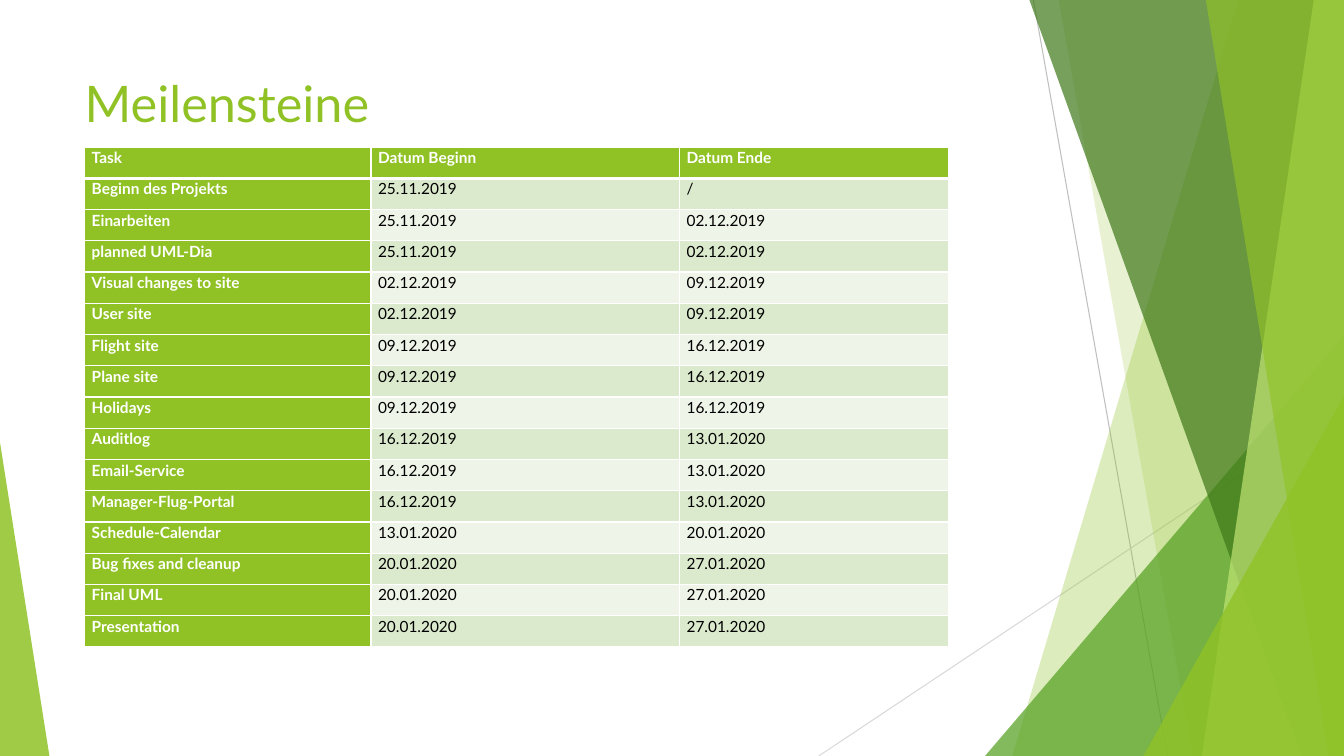
import pptx
import pptx.dml.color
import pptx.enum.shapes
import pptx.enum.text
import pptx.oxml
import pptx.oxml.ns
import pptx.util
from pptx.util import Inches

FONT = "Lato"
COLORS = {
    "lime": "90C226", "green": "54A021", "forest": "3F7819", "pale": "C0E474",
    "white": "FFFFFF", "black": "000000", "odd": "DBE9CD", "even": "EEF4E8",
    "grey": "BFBFBF", "light_grey": "D9D9D9",
}
HEADER = ("Task", "Datum Beginn", "Datum Ende")
MILESTONES = [
    ("Beginn des Projekts", "25.11.2019", "/"),
    ("Einarbeiten", "25.11.2019", "02.12.2019"),
    ("planned UML-Dia", "25.11.2019", "02.12.2019"),
    ("Visual changes to site", "02.12.2019", "09.12.2019"),
    ("User site", "02.12.2019", "09.12.2019"),
    ("Flight site", "09.12.2019", "16.12.2019"),
    ("Plane site", "09.12.2019", "16.12.2019"),
    ("Holidays", "09.12.2019", "16.12.2019"),
    ("Auditlog", "16.12.2019", "13.01.2020"),
    ("Email-Service", "16.12.2019", "13.01.2020"),
    ("Manager-Flug-Portal", "16.12.2019", "13.01.2020"),
    ("Schedule-Calendar", "13.01.2020", "20.01.2020"),
    ("Bug fixes and cleanup", "20.01.2020", "27.01.2020"),
    ("Final UML", "20.01.2020", "27.01.2020"),
    ("Presentation", "20.01.2020", "27.01.2020"),
]
# Facets from back to front. A band has its widths at top and bottom,
# a peak its width and height; all are measured from the right edge.
FACETS = [
    ("band", 1.05, 3.29, "lime", 30),
    ("band", 2.83, 1.5, "lime", 20),
    ("peak", 3.56, 4.17, "green", 72),
    ("band", 3.12, 0.42, "forest", 70),
    ("band", 0.3, 1.41, "pale", 70),
    ("band", 1.37, 0.15, "lime", 65),
    ("peak", 1.99, 3.57, "lime", 80),
]


def rgb(name):
    return pptx.dml.color.RGBColor.from_string(COLORS[name])


def paint(shape, color, opacity):
    shape.shadow.inherit = False
    shape.line.fill.background()
    shape.fill.solid()
    shape.fill.fore_color.rgb = rgb(color)
    tint = shape.fill._xPr.find(".//" + pptx.oxml.ns.qn("a:srgbClr"))
    pptx.oxml.ns  # namespace helpers
    alpha = tint.makeelement(pptx.oxml.ns.qn("a:alpha"), {"val": str(opacity * 1000)})
    tint.append(alpha)


def add_hairline(page, start, end, color):
    line = page.shapes.add_connector(
        pptx.enum.shapes.MSO_CONNECTOR.STRAIGHT, *map(Inches, start + end))
    line.line.color.rgb = rgb(color)
    line.line.width = pptx.util.Pt(0.75)
    properties = line._element.spPr
    properties.append(properties.makeelement(pptx.oxml.ns.qn("a:effectLst"), {}))


def add_peak(page, left, top, width, height, apex, color, opacity):
    peak = page.shapes.add_shape(
        pptx.enum.shapes.MSO_SHAPE.ISOSCELES_TRIANGLE,
        *map(Inches, (left, top, width, height)))
    peak.adjustments[0] = apex
    paint(peak, color, opacity)


def add_facets(page, left, top, width, height):
    """Overlapping translucent facets along the right side of the box."""
    right, bottom = left + width, top + height
    add_hairline(page, (right - 3.08, top), (right - 1.75, bottom), "grey")
    add_hairline(page, (right, bottom - 3.47), (right - 5.21, bottom), "light_grey")
    for kind, first, second, color, opacity in FACETS:
        if kind == "peak":
            add_peak(page, right - first, bottom - second, first, second, 1, color, opacity)
            continue
        builder = page.shapes.build_freeform(Inches(right - first), Inches(top))
        corners = [(right, top), (right, bottom), (right - second, bottom)]
        builder.add_line_segments([(Inches(x), Inches(y)) for x, y in corners])
        paint(builder.convert_to_shape(), color, opacity)
    # Small wedge in the lower left corner
    add_peak(page, left, bottom - 3.11, 0.49, 3.11, 0, "lime", 85)


def add_title(page, left, top, width, height):
    title = page.shapes.title
    title.left, title.top, title.width, title.height = map(
        Inches, (left, top, width, height))
    frame = title.text_frame
    frame.text = "Meilensteine"
    frame.auto_size = pptx.enum.text.MSO_AUTO_SIZE.NONE
    frame.vertical_anchor = pptx.enum.text.MSO_ANCHOR.TOP
    para = frame.paragraphs[0]
    para.alignment = pptx.enum.text.PP_ALIGN.LEFT
    para.font.name = FONT
    para.font.size = pptx.util.Pt(36)
    para.font.color.rgb = rgb("lime")


def add_borders(cell, top, bottom):
    properties = cell._tc.get_or_add_tcPr()
    for side, points in (("L", 1), ("R", 1), ("T", top), ("B", bottom)):
        properties.append(pptx.oxml.parse_xml(
            f'<a:ln{side} {pptx.oxml.ns.nsdecls("a")} w="{pptx.util.Pt(points)}">'
            f'<a:solidFill><a:srgbClr val="{COLORS["white"]}"/></a:solidFill></a:ln{side}>'))


def fill_cell(cell, text, row, column):
    heading = row == 0 or column == 0
    add_borders(cell, 3 if row == 1 else 1, 3 if row == 0 else 1)
    cell.fill.solid()
    cell.fill.fore_color.rgb = rgb("lime" if heading else "odd" if row % 2 else "even")
    cell.margin_left = cell.margin_right = Inches(0.07)
    cell.margin_top = cell.margin_bottom = 0
    cell.text = text
    para = cell.text_frame.paragraphs[0]
    para.line_spacing = 1.07
    para.space_before = pptx.util.Pt(2 if row == 0 else 0)
    para.font.name = FONT
    para.font.size = pptx.util.Pt(11)
    para.font.bold = heading
    para.font.color.rgb = rgb("white" if heading else "black")


def add_milestones(page, left, top, width, height):
    rows = [HEADER] + MILESTONES
    table = page.shapes.add_table(
        len(rows), len(HEADER), *map(Inches, (left, top, width, height))).table
    for column, share in zip(table.columns, (2.84, 3.06, 2.67)):
        column.width = Inches(width * share / 8.57)
    for row, texts in enumerate(rows):
        table.rows[row].height = Inches(height / len(rows))
        for column, text in enumerate(texts):
            fill_cell(table.cell(row, column), text, row, column)


def main():
    deck = pptx.Presentation()
    deck.slide_width, deck.slide_height = Inches(13.33), Inches(7.5)
    page = deck.slides.add_slide(deck.slide_layouts[5])
    add_facets(page, 0, 0, 13.33, 7.5)
    add_title(page, 0.74, 0.67, 9.4, 1.44)
    add_milestones(page, 0.84, 1.46, 8.57, 4.96)
    deck.save("out.pptx")


if __name__ == "__main__":
    main()
